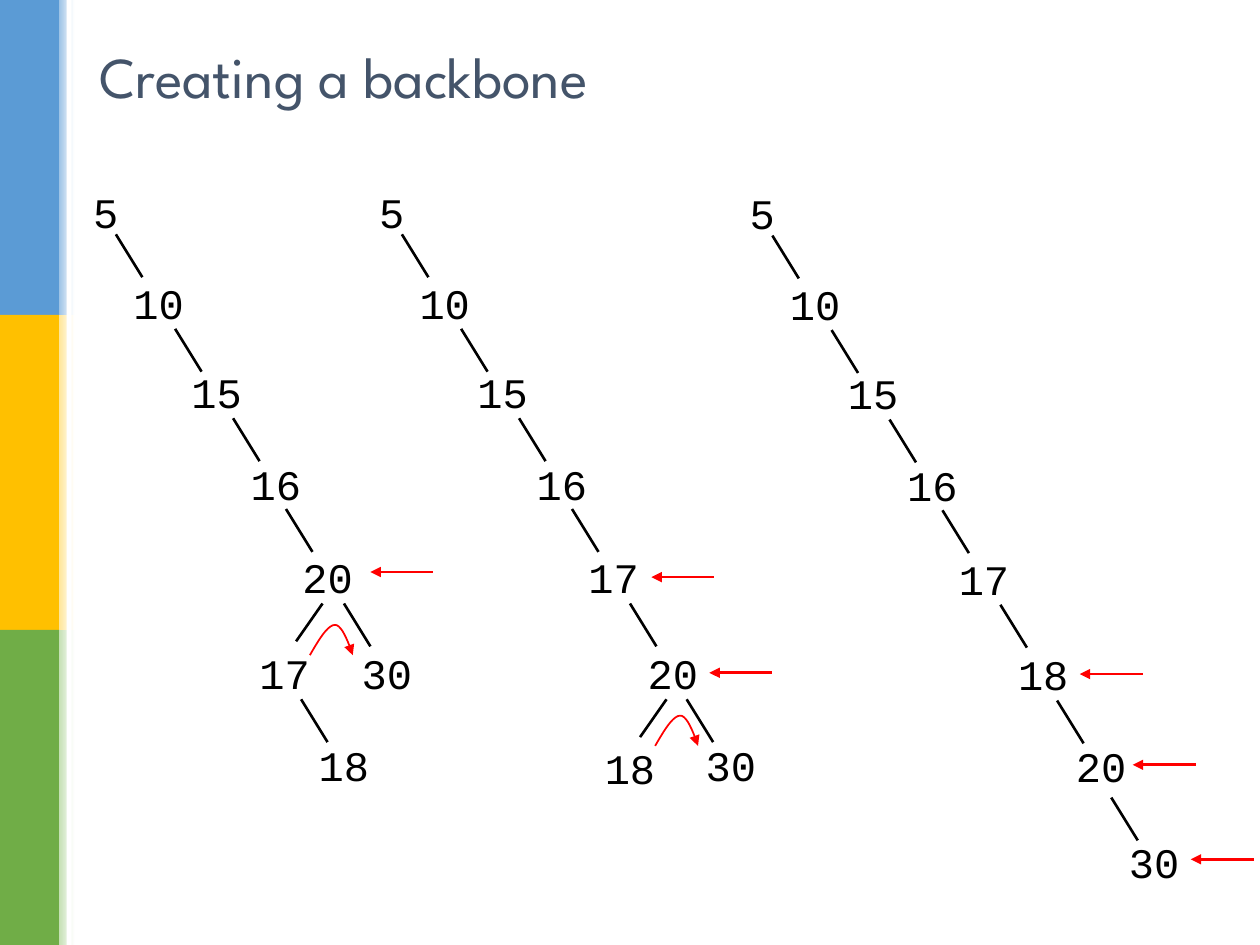
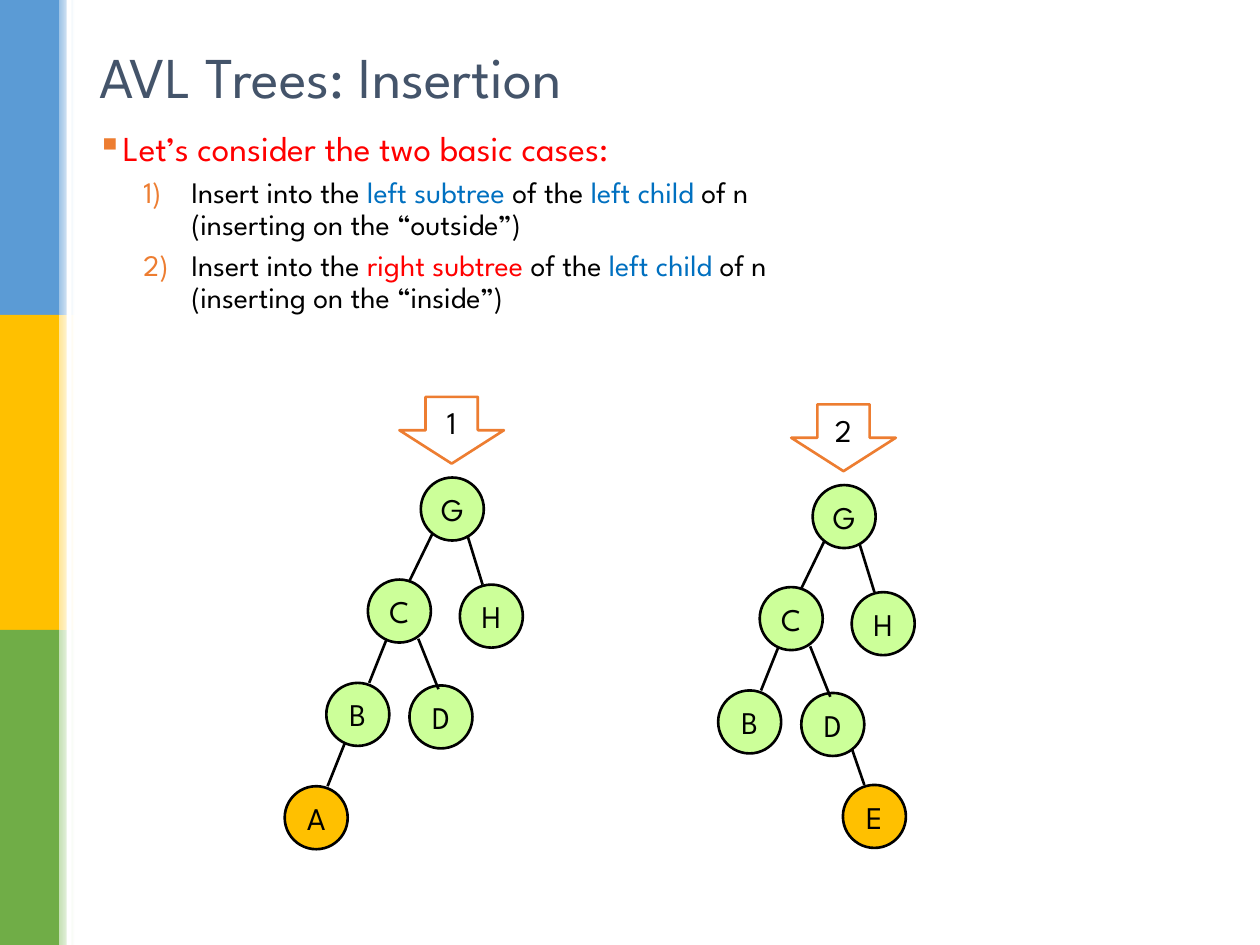
from lxml.etree import SubElement
from pptx import Presentation
from pptx.dml.color import RGBColor
from pptx.enum.shapes import MSO_CONNECTOR, MSO_SHAPE
from pptx.enum.text import MSO_ANCHOR, PP_ALIGN
from pptx.oxml.ns import qn
from pptx.util import Inches, Pt

WIDE, HIGH = 10, 7.5
SANS, MONO = "League Spartan", "Courier New"
BLACK, WHITE, RED, BLUE, ORANGE = "000000", "FFFFFF", "FF0000", "0070C0", "ED7D31"
LIME, GOLD, SLATE = "CCFF99", "FFC000", "44546A"
BANDS = [("5B9BD5", "9DC3E6"), ("FFC000", "FFE699"), ("70AD47", "C5E0B4")]

HEAD = {"size": 33, "font": SANS, "hue": SLATE}
KEY = {"size": 24, "font": MONO, "hue": BLACK}
MARK = {"size": 18, "font": SANS, "hue": BLACK}

# Spine slots: offset from the second key's centre line, then top edge.
SPINE = [(-0.42, 1.43), (0, 2.15), (0.46, 2.86), (0.93, 3.59),
         (1.34, 4.33), (1.81, 5.09), (2.27, 5.82), (2.69, 6.58)]
STEMS = [(-0.34, 1.86), (0.13, 2.61), (0.59, 3.32), (1.01, 4.04),
         (1.47, 4.79), (1.92, 5.55), (2.35, 6.32)]
RIGHT, LEFT = (0.21, 0.34), (-0.21, 0.3)
CHAINS = [
    {"at": (1.26, 0), "keys": [5, 10, 15, 16, 20, 30],
     "side": [(17, 1, 5.09), (18, 1.47, 5.82)],
     "stems": [(1.3, 4.79, LEFT), (1.13, 5.55, RIGHT)],
     "marks": [(1.68, 4.54)], "turn": (1.2, 4.96)},
    {"at": (3.53, 0), "keys": [5, 10, 15, 16, 17, 20, 30],
     "side": [(18, 1.47, 5.84)],
     "stems": [(1.76, 5.55, LEFT)],
     "marks": [(1.64, 4.58), (2.1, 5.34)], "turn": (1.67, 5.68)},
    {"at": (6.47, 0.01), "keys": [5, 10, 15, 16, 17, 18, 20, 30],
     "side": [], "stems": [],
     "marks": [(2.1, 5.34), (2.52, 6.06), (2.98, 6.81)], "turn": None},
]
CURVE = [[(0, 0.24), (0.07, 0.12), (0.14, 0), (0.2, 0)],
         [(0.2, 0), (0.25, 0), (0.3, 0.12), (0.34, 0.24)]]

POINTS = [
    (0, [("Let’s consider the two basic cases:", RED)]),
    (1, [("Insert into the ", BLACK), ("left subtree ", BLUE), ("of the ", BLACK),
         ("left child ", BLUE), ("of n ", BLACK), None,
         ("(inserting on the “outside”)", BLACK)]),
    (1, [("Insert into the ", BLACK), ("right subtree ", RED), ("of the ", BLACK),
         ("left child ", BLUE), ("of n ", BLACK), None,
         ("(inserting on the “inside”)", BLACK)]),
]
LEVELS = [
    {"size": 20, "pad": 0.19, "hang": -0.19, "gap": 6, "tag": "a:buChar", "set": {"char": "▪"}},
    {"size": 17, "pad": 0.75, "hang": -0.38, "gap": 5.1, "tag": "a:buAutoNum",
     "set": {"type": "arabicParenR"}},
]
NODES = {"G": (0, 0), "H": (0.31, 0.85), "C": (-0.42, 0.81), "B": (-0.75, 1.63),
         "D": (-0.09, 1.65)}
EDGES = [(0.12, 0.21, 0.24, 0.6), (-0.16, 0.2, -0.34, 0.57),
         (-0.52, 1.03, -0.66, 1.38), (-0.27, 1.03, -0.11, 1.43)]
CASES = [
    {"name": "1", "at": (3.59, 4.04), "new": ("A", -1.08, 2.45),
     "edge": (-0.85, 1.85, -0.99, 2.2)},
    {"name": "2", "at": (6.7, 4.1), "new": ("E", 0.24, 2.38),
     "edge": (0.06, 1.84, 0.16, 2.13)},
]


def tint(hue):
    return RGBColor.from_string(hue)


def style(run, form):
    values = {"size": Pt(form["size"]), "name": form["font"]}
    for name, value in values.items():
        setattr(run.font, name, value)
    run.font.color.rgb = tint(form["hue"])


def write(frame, text, form, **props):
    for name, value in props.items():
        setattr(frame, name, value)
    run = frame.paragraphs[0].add_run()
    run.text = text
    style(run, form)
    return frame.paragraphs[0]


def label(slide, box, text, form, align=PP_ALIGN.LEFT, **props):
    frame = slide.shapes.add_textbox(*map(Inches, box)).text_frame
    write(frame, text, form, word_wrap=True, **props).alignment = align


def block(slide, kind, box, fill, edge=None):
    shape = slide.shapes.add_shape(kind, *map(Inches, box))
    shape.shadow.inherit = False
    if isinstance(fill, tuple):
        shape.fill.gradient()
        shape.fill.gradient_angle = 0
        for stop, hue in zip(shape.fill.gradient_stops, fill):
            stop.color.rgb = tint(hue)
    else:
        shape.fill.solid()
        shape.fill.fore_color.rgb = tint(fill)
    if edge:
        ink(shape, edge, 1.5)
    else:
        shape.line.fill.background()
    return shape


def ink(shape, hue, width, tip=None):
    shape.line.color.rgb = tint(hue)
    shape.line.width = Pt(width)
    if tip:
        line = shape._element.spPr.find(qn("a:ln"))
        SubElement(line, qn(tip), type="triangle")


def join(slide, ends, hue=BLACK, tip=None):
    line = slide.shapes.add_connector(MSO_CONNECTOR.STRAIGHT, *map(Inches, ends))
    ink(line, hue, 1.5, tip)
    SubElement(line._element.spPr, qn("a:effectLst"))


def bend(slide, x, y, steps=10):
    spots = []
    for a, b, c, d in CURVE:
        for step in range(steps + 1):
            t = step / steps
            s = 1 - t
            spots.append(tuple(
                Inches(base + s**3 * p + 3 * s * s * t * q + 3 * s * t * t * r + t**3 * e)
                for base, p, q, r, e in zip((x, y), a, b, c, d)))
    path = slide.shapes.build_freeform(*spots[0])
    path.add_line_segments(spots[1:], close=False)
    shape = path.convert_to_shape()
    shape.shadow.inherit = False
    shape.fill.background()
    ink(shape, RED, 1, "a:tailEnd")


def start(deck, title):
    slide = deck.slides.add_slide(deck.slide_layouts[6])
    tall = HIGH / len(BANDS)
    for row, (full, pale) in enumerate(BANDS):
        block(slide, MSO_SHAPE.RECTANGLE, (0, row * tall, 0.47, tall), full)
        block(slide, MSO_SHAPE.RECTANGLE, (0.47, row * tall, 0.12, tall), (pale, WHITE))
    block(slide, MSO_SHAPE.RECTANGLE, (0.53, 0, 0.04, HIGH), WHITE)
    label(slide, (0.69, 0.26, 8.62, 0.68), title, HEAD,
          vertical_anchor=MSO_ANCHOR.MIDDLE)
    return slide


def chain(slide, tree):
    left, top = tree["at"]
    keys = [(key, *slot) for key, slot in zip(tree["keys"], SPINE)]
    for key, x, y in keys + tree["side"]:
        label(slide, (left + x - 0.38, top + y, 0.76, 0.46), str(key), KEY,
              PP_ALIGN.CENTER)
    stems = [(x, y, RIGHT) for x, y in STEMS[:len(keys) - 1]]
    for x, y, (dx, dy) in stems + tree["stems"]:
        x, y = left + x, top + y
        join(slide, (x, y, x + dx, y + dy))
    for x, y in tree["marks"]:
        x, y = left + x, top + y
        join(slide, (x, y, x + 0.5, y), RED, "a:headEnd")
    if tree["turn"]:
        bend(slide, left + tree["turn"][0], top + tree["turn"][1])


def bullets(slide):
    frame = slide.shapes.add_textbox(*map(Inches, (0.67, 0.99, 8.86, 5.99))).text_frame
    frame.word_wrap = True
    for row, (level, parts) in enumerate(POINTS):
        para = frame.add_paragraph() if row else frame.paragraphs[0]
        form = LEVELS[level]
        values = {"level": level, "line_spacing": 0.9, "space_before": Pt(form["gap"])}
        for name, value in values.items():
            setattr(para, name, value)
        props = para._p.get_or_add_pPr()
        props.set("marL", str(Inches(form["pad"])))
        props.set("indent", str(Inches(form["hang"])))
        SubElement(SubElement(props, qn("a:buClr")), qn("a:srgbClr"), val=ORANGE)
        SubElement(props, qn(form["tag"]), **form["set"])
        for part in parts:
            if part is None:
                para.add_line_break()
                continue
            run = para.add_run()
            run.text, hue = part
            style(run, {"size": form["size"], "font": SANS, "hue": hue})


def case(slide, tree):
    left, top = tree["at"]
    name, dx, dy = tree["new"]
    for key, (x, y) in {**NODES, name: (dx, dy)}.items():
        ball = block(slide, MSO_SHAPE.OVAL, (left + x - 0.25, top + y - 0.25, 0.5, 0.5),
                     GOLD if key == name else LIME, BLACK)
        write(ball.text_frame, key, MARK, word_wrap=False,
              vertical_anchor=MSO_ANCHOR.MIDDLE).alignment = PP_ALIGN.CENTER
    for x, y, u, v in EDGES + [tree["edge"]]:
        join(slide, (left + x, top + y, left + u, top + v))
    arrow = block(slide, MSO_SHAPE.DOWN_ARROW, (left - 0.42, top - 0.89, 0.83, 0.53),
                  WHITE, ORANGE)
    write(arrow.text_frame, tree["name"], MARK,
          vertical_anchor=MSO_ANCHOR.MIDDLE).alignment = PP_ALIGN.CENTER


def main():
    deck = Presentation()
    deck.slide_width, deck.slide_height = Inches(WIDE), Inches(HIGH)
    slide = start(deck, "Creating a backbone")
    for tree in CHAINS:
        chain(slide, tree)
    slide = start(deck, "AVL Trees: Insertion")
    bullets(slide)
    for tree in CASES:
        case(slide, tree)
    deck.save("out.pptx")


if __name__ == "__main__":
    main()
